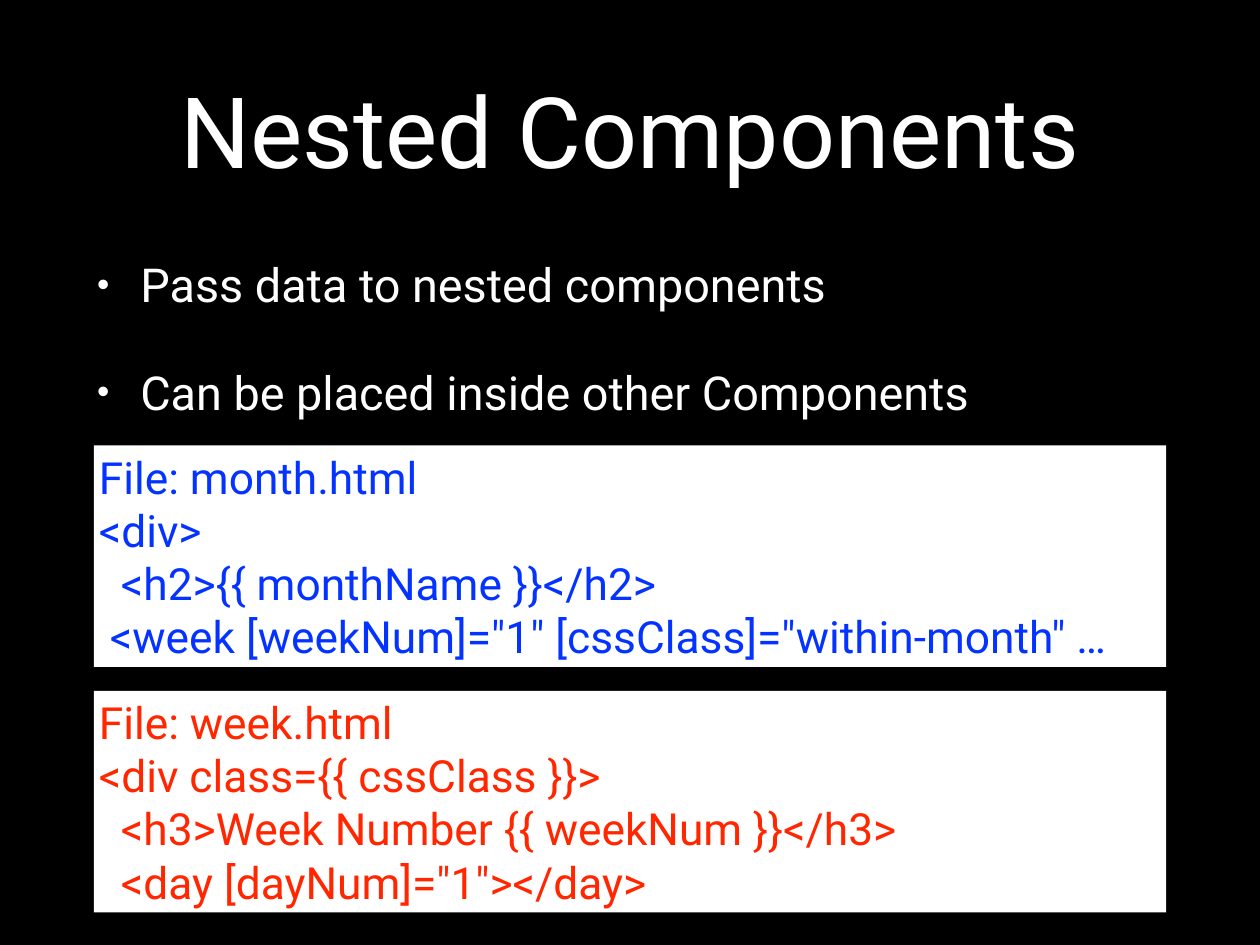
import pptx
import pptx.util
import pptx.dml.color
import pptx.enum.shapes
import pptx.enum.text
import lxml.etree

Pt = pptx.util.Pt
FONT = "Roboto"
BLACK, WHITE, BLUE, RED = "000000", "FFFFFF", "0433FF", "FF2600"
SLIDE_SIZE = (1024, 768)

TITLE = "Nested Components"
BULLETS = [
    "Pass data to nested components",
    "Can be placed inside other Components",
]
CODE_BLOCKS = [
    (BLUE, [
        ("File: month.html", 0),
        ("<div>", 0),
        ("<h2>{{ monthName }}</h2>", 18),
        ('<week [weekNum]="1" [cssClass]="within-month" …', 9),
    ]),
    (RED, [
        ("File: week.html", 0),
        ("<div class={{ cssClass }}>", 0),
        ("<h3>Week Number {{ weekNum }}</h3>", 18),
        ('<day [dayNum]="1"></day>', 18),
    ]),
]

TITLE_BOX = (75, 20, 874, 170)
BODY_BOX = (75, 204, 874, 170)
CODE_LEFT, CODE_TOP, CODE_WIDTH, CODE_HEIGHT = 76.3, 362, 871.4, 180
CODE_PITCH = 199.5
INSET = 4
BULLET_INDENT = 35

Align = pptx.enum.text.PP_ALIGN
Anchor = pptx.enum.text.MSO_ANCHOR


def color(value):
    return pptx.dml.color.RGBColor.from_string(value)


def place(shape, box):
    shape.left, shape.top, shape.width, shape.height = (Pt(n) for n in box)


def prepare_frame(shape, anchor):
    frame = shape.text_frame
    frame.word_wrap = True
    frame.auto_size = pptx.enum.text.MSO_AUTO_SIZE.NONE
    frame.vertical_anchor = anchor
    frame.margin_left = frame.margin_right = Pt(INSET)
    frame.margin_top = frame.margin_bottom = Pt(INSET)
    return frame


def write_lines(frame, lines, size, text_color, align):
    for index, line in enumerate(lines):
        paragraph = frame.add_paragraph() if index else frame.paragraphs[0]
        paragraph.alignment = align
        run = paragraph.add_run()
        run.text = line
        run.font.name = FONT
        run.font.size = Pt(size)
        run.font.color.rgb = color(text_color)


def set_indent(paragraph, left, first):
    properties = paragraph._p.get_or_add_pPr()
    properties.set("marL", str(Pt(left)))
    properties.set("indent", str(Pt(first)))
    return properties


def add_bullet(paragraph):
    paragraph.space_before = Pt(42)
    properties = set_indent(paragraph, BULLET_INDENT, -BULLET_INDENT)
    for tag, name, value in (("buSzPct", "val", "75000"), ("buChar", "char", "•")):
        element = lxml.etree.SubElement(properties, pptx.oxml.ns.qn("a:" + tag))
        element.set(name, value)


def add_code_block(slide, index, text_color, lines):
    shape = slide.shapes.add_shape(
        pptx.enum.shapes.MSO_SHAPE.RECTANGLE,
        Pt(CODE_LEFT), Pt(CODE_TOP + index * CODE_PITCH),
        Pt(CODE_WIDTH), Pt(CODE_HEIGHT))
    shape.shadow.inherit = False
    shape.fill.solid()
    shape.fill.fore_color.rgb = color(WHITE)
    shape.line.fill.background()
    frame = prepare_frame(shape, Anchor.MIDDLE)
    write_lines(frame, [text for text, _ in lines], 36, text_color, Align.LEFT)
    for paragraph, (_, indent) in zip(frame.paragraphs, lines):
        set_indent(paragraph, 0, indent)


def main():
    presentation = pptx.Presentation()
    presentation.slide_width, presentation.slide_height = (Pt(n) for n in SLIDE_SIZE)
    slide = presentation.slides.add_slide(presentation.slide_layouts[1])
    slide.background.fill.solid()
    slide.background.fill.fore_color.rgb = color(BLACK)

    title, body = slide.shapes.title, slide.placeholders[1]
    place(title, TITLE_BOX)
    write_lines(prepare_frame(title, Anchor.MIDDLE), [TITLE], 80, WHITE, Align.CENTER)

    place(body, BODY_BOX)
    body_frame = prepare_frame(body, Anchor.TOP)
    write_lines(body_frame, BULLETS, 38, WHITE, Align.LEFT)
    for paragraph in body_frame.paragraphs:
        add_bullet(paragraph)

    for index, (text_color, lines) in enumerate(CODE_BLOCKS):
        add_code_block(slide, index, text_color, lines)

    presentation.save("out.pptx")


if __name__ == "__main__":
    main()
